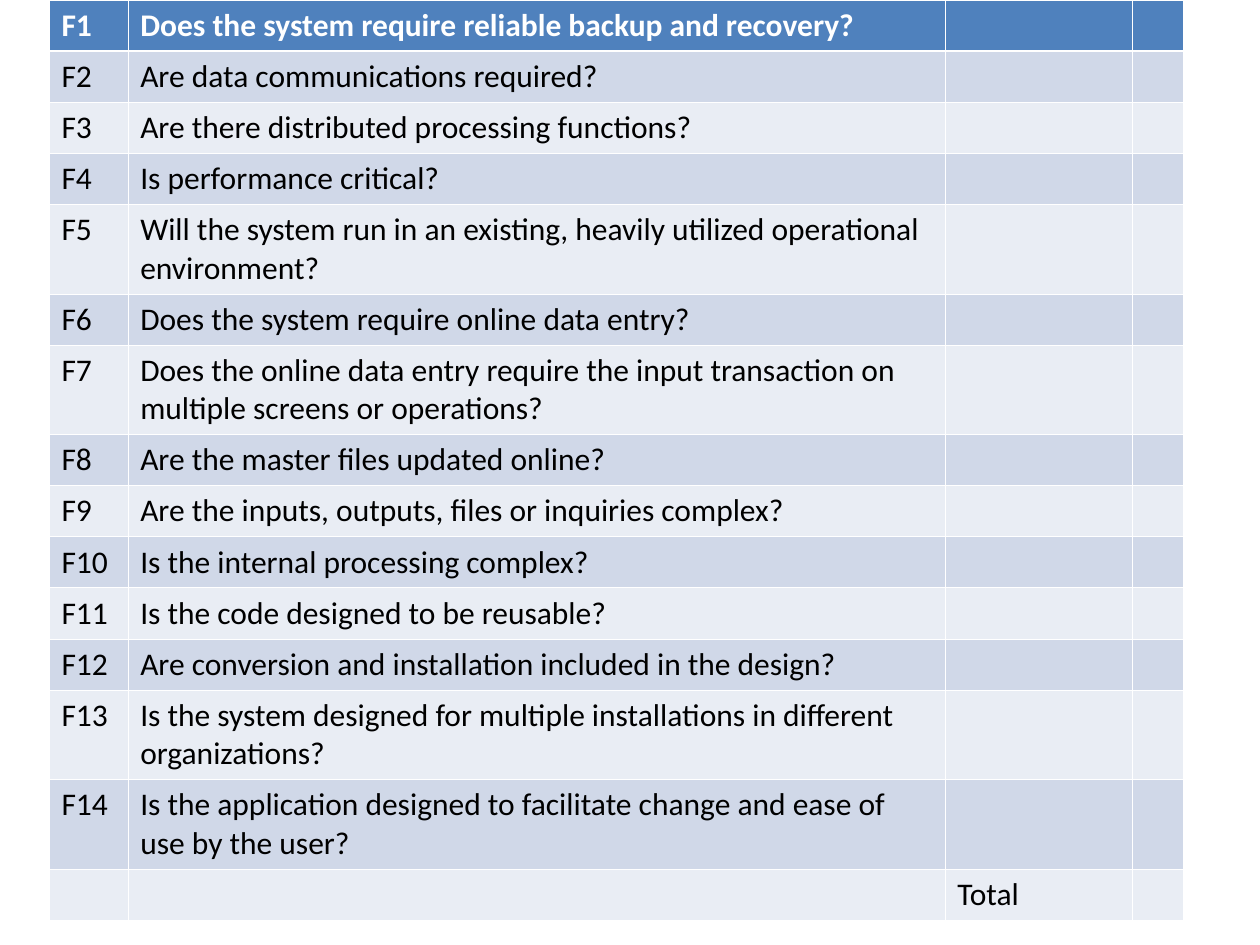
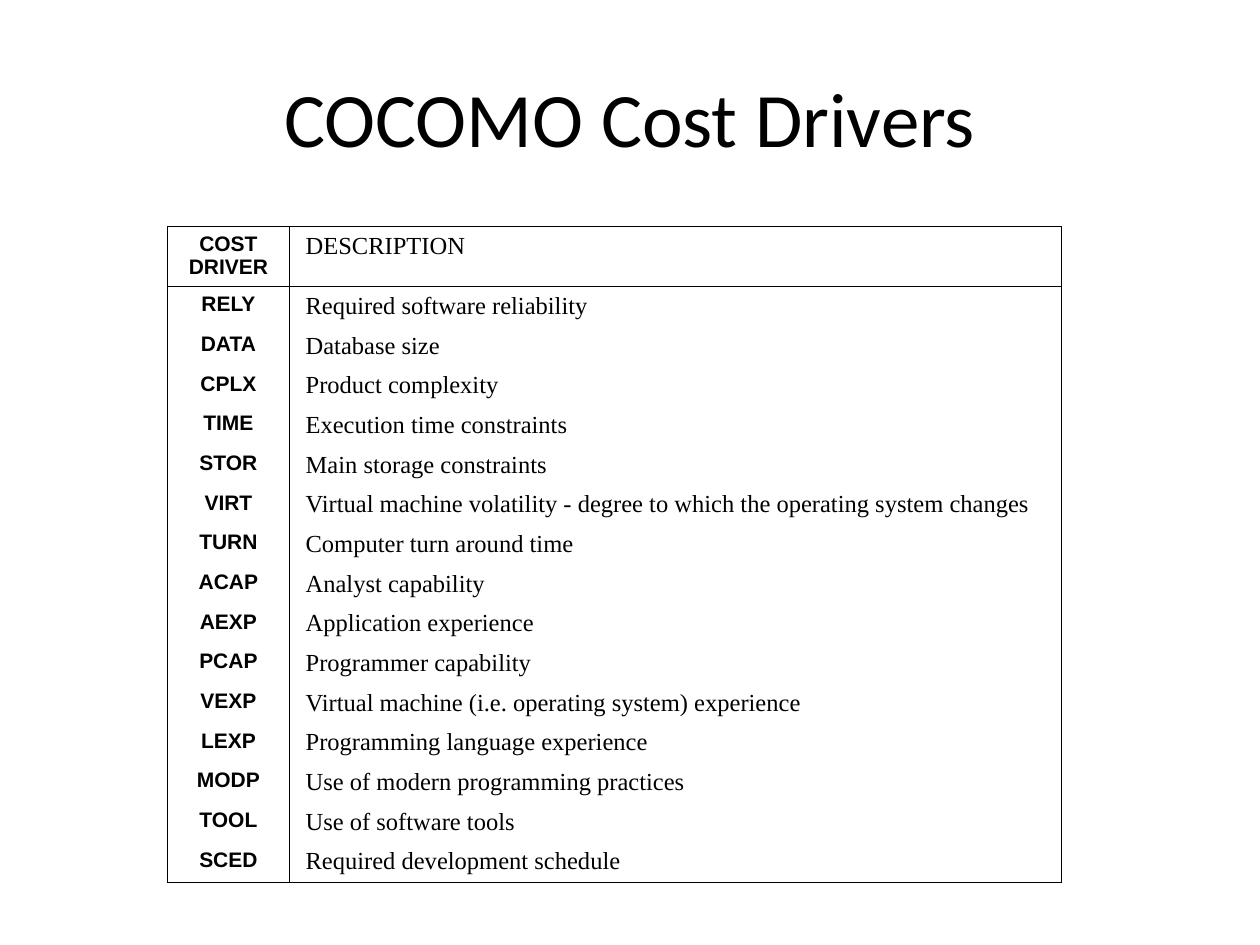
from copy import deepcopy
from dataclasses import dataclass

from lxml.etree import SubElement
from pptx import Presentation
from pptx.dml.color import RGBColor
from pptx.enum.text import MSO_ANCHOR, PP_ALIGN
from pptx.oxml.ns import qn
from pptx.util import Pt

# Colours
WHITE = RGBColor(0xFF, 0xFF, 0xFF)
BLACK = RGBColor(0x00, 0x00, 0x00)
HEADER_BLUE = RGBColor(0x4F, 0x81, 0xBD)
BAND_DARK = RGBColor(0xD0, 0xD8, 0xE8)
BAND_LIGHT = RGBColor(0xE9, 0xED, 0xF4)

THIN, THICK = 0.45, 1.47
ONE_LINE, TWO_LINES = 29.2, 51.1

# Complexity questions; a line that wraps gets a taller row
QUESTIONS = [
    "Does the system require reliable backup and recovery?",
    "Are data communications required?",
    "Are there distributed processing functions?",
    "Is performance critical?",
    "Will the system run in an existing, heavily utilized operational environment?",
    "Does the system require online data entry?",
    "Does the online data entry require the input transaction on multiple screens or operations?",
    "Are the master files updated online?",
    "Are the inputs, outputs, files or inquiries complex?",
    "Is the internal processing complex?",
    "Is the code designed to be reusable?",
    "Are conversion and installation included in the design?",
    "Is the system designed for multiple installations in different organizations?",
    "Is the application designed to facilitate change and ease of use by the user?",
]
WRAP_LENGTH = 60

COST_DRIVERS = [
    ("COST\vDRIVER", "DESCRIPTION"),
    ("RELY", "Required software reliability"),
    ("DATA", "Database size"),
    ("CPLX", "Product complexity"),
    ("TIME", "Execution time constraints"),
    ("STOR", "Main storage constraints"),
    ("VIRT", "Virtual machine volatility - degree to which the operating system changes"),
    ("TURN", "Computer turn around time"),
    ("ACAP", "Analyst capability"),
    ("AEXP", "Application experience"),
    ("PCAP", "Programmer capability"),
    ("VEXP", "Virtual machine (i.e. operating system) experience"),
    ("LEXP", "Programming language experience"),
    ("MODP", "Use of modern programming practices"),
    ("TOOL", "Use of software tools"),
    ("SCED", "Required development schedule"),
]


@dataclass(frozen=True)
class Grid:
    left: float
    top: float
    cols: list[float]
    rows: list[float]
    margin_x: float
    margin_top: float
    margin_bottom: float


def write(tf, text: str, *, font: str, size: float, color: RGBColor = BLACK,
          bold: bool = False, align: PP_ALIGN = PP_ALIGN.LEFT, indent: float = 0) -> None:
    p = tf.paragraphs[0]
    p.text = text
    p.alignment = align
    if indent:
        p._p.get_or_add_pPr().set("marL", str(Pt(indent)))
    for r in p.runs:
        r.font.name, r.font.size, r.font.bold = font, Pt(size), bold
        r.font.color.rgb = color
    # A line break takes the format of the text around it
    for br in p._p.findall(qn("a:br")):
        br.append(deepcopy(p.runs[0]._r.rPr))


def set_borders(cell, color: RGBColor, left: float, right: float,
                top: float, bottom: float) -> None:
    """Set the border widths; a width of 0 hides that side."""
    tc_pr = cell._tc.get_or_add_tcPr()
    for i, (side, width) in enumerate(zip("LRTB", (left, right, top, bottom))):
        ln = SubElement(tc_pr, qn(f"a:ln{side}"), w=str(Pt(width)))
        if width:
            fill = SubElement(ln, qn("a:solidFill"))
            SubElement(fill, qn("a:srgbClr"), val=str(color))
        else:
            SubElement(ln, qn("a:noFill"))
        tc_pr.insert(i, ln)


def add_grid(slide, grid: Grid):
    table = slide.shapes.add_table(
        len(grid.rows), len(grid.cols), Pt(grid.left), Pt(grid.top),
        Pt(sum(grid.cols)), Pt(sum(grid.rows))).table
    table.first_row = table.horz_banding = False
    for col, width in zip(table.columns, grid.cols):
        col.width = Pt(width)
    for row, height in zip(table.rows, grid.rows):
        row.height = Pt(height)
    for cell in table.iter_cells():
        cell.margin_left = cell.margin_right = Pt(grid.margin_x)
        cell.margin_top = Pt(grid.margin_top)
        cell.margin_bottom = Pt(grid.margin_bottom)
    return table


def build_questions(slide) -> None:
    rows = [(f"F{n}", q, "", "") for n, q in enumerate(QUESTIONS, 1)]
    rows.append(("", "", "Total", ""))
    heights = [TWO_LINES if len(row[1]) > WRAP_LENGTH else ONE_LINE for row in rows]
    table = add_grid(slide, Grid(28.1, 0, [45, 466.9, 107, 29.1], heights, 7.1, 3.6, 3.6))
    for i, row in enumerate(rows):
        header = i == 0
        fill = HEADER_BLUE if header else BAND_DARK if i % 2 else BAND_LIGHT
        for j, text in enumerate(row):
            cell = table.cell(i, j)
            cell.fill.solid()
            cell.fill.fore_color.rgb = fill
            set_borders(cell, WHITE, THIN, THIN, THICK if i == 1 else THIN,
                        THICK if header else THIN)
            if text:
                write(cell.text_frame, text, font="Calibri", size=18, bold=header,
                      color=WHITE if header else BLACK)


def build_cost_drivers(slide) -> None:
    # Title
    box = slide.shapes.add_textbox(Pt(36), Pt(21.6), Pt(648), Pt(90))
    tf = box.text_frame
    tf.word_wrap = True
    tf.vertical_anchor = MSO_ANCHOR.MIDDLE
    write(tf, "COCOMO Cost Drivers", font="Calibri", size=44, align=PP_ALIGN.CENTER)

    # Table with rules round the header and the body only
    last = len(COST_DRIVERS) - 1
    table = add_grid(slide, Grid(95.7, 129.4, [69.7, 441.2], [34.4] + [22.7] * last,
                                 1.5, 3.3, 2.4))
    for i, (driver, description) in enumerate(COST_DRIVERS):
        for j in range(2):
            cell = table.cell(i, j)
            cell.fill.background()
            set_borders(cell, BLACK, THIN, THIN, THIN if i < 2 else 0,
                        THIN if i in (0, last) else 0)
        write(table.cell(i, 0).text_frame, driver, font="Arial", size=12, bold=True,
              align=PP_ALIGN.CENTER)
        write(table.cell(i, 1).text_frame, description, font="Times New Roman", size=14,
              indent=7.8)


def main() -> None:
    prs = Presentation()
    prs.slide_width, prs.slide_height = Pt(720), Pt(540)
    for build in (build_questions, build_cost_drivers):
        build(prs.slides.add_slide(prs.slide_layouts[6]))
    prs.save("out.pptx")


if __name__ == "__main__":
    main()
